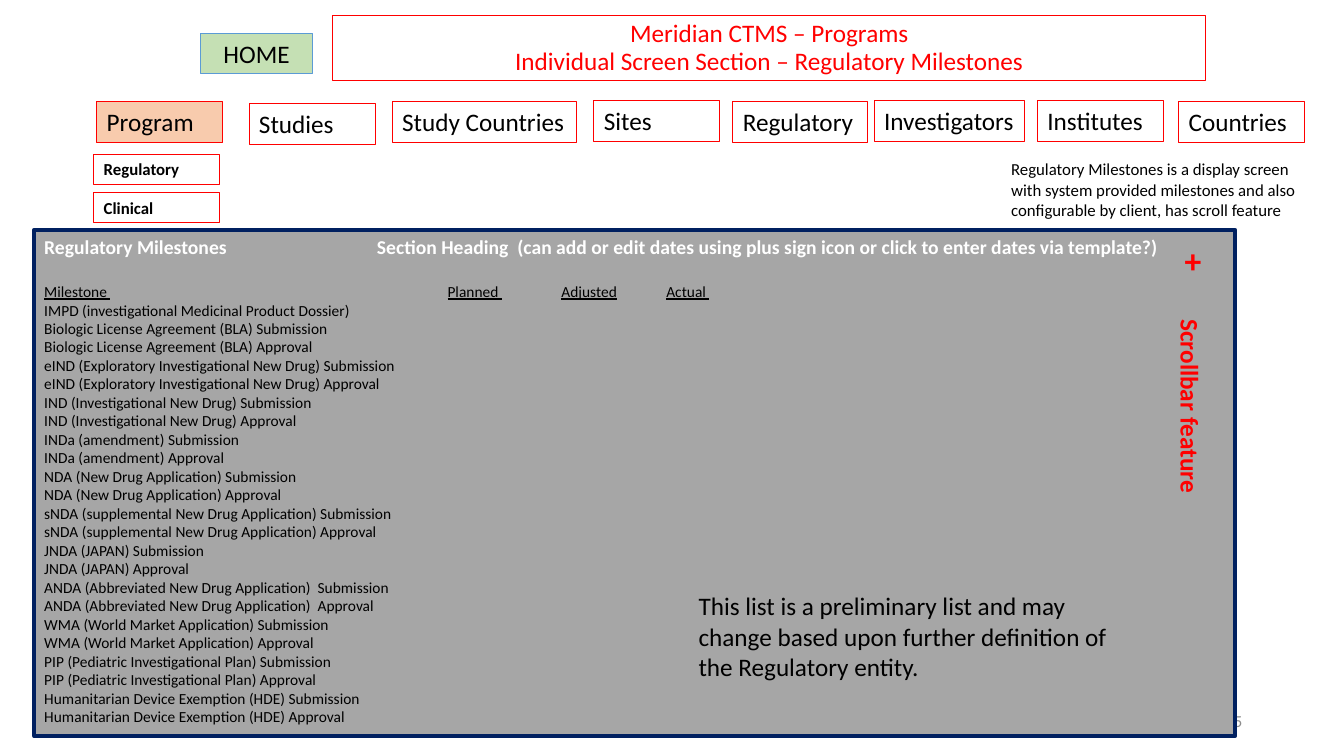
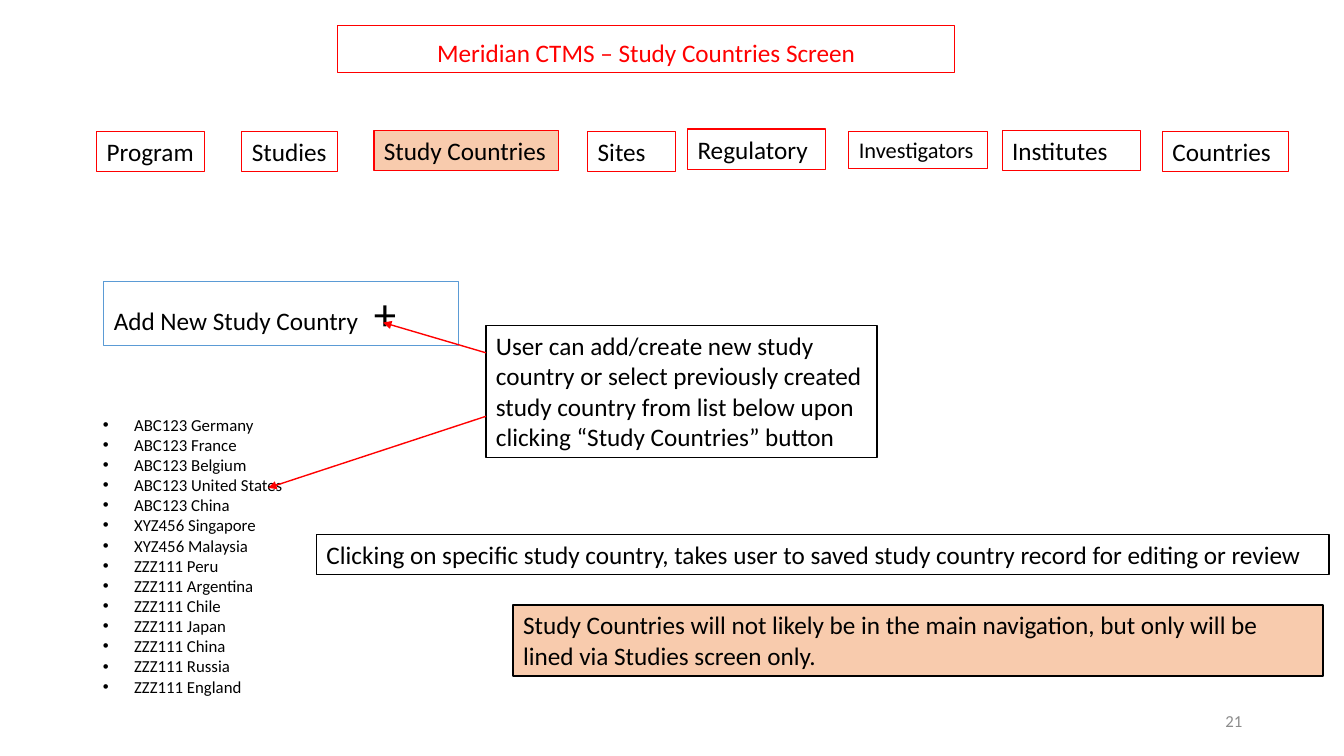
from lxml import etree
from pptx import Presentation
from pptx import util as u
from pptx.dml.color import RGBColor
from pptx.enum import shapes, text
from pptx.oxml import ns

RED, BLACK, WHITE, NAVY, BLUE = "FF0000", "000000", "FFFFFF", "002060", "5B9BD5"
PEACH, GREEN, GREY, NUMBER = "F8CBAD", "C5E0B4", "A6A6A6", "8C8C8C"
LEFT, CENTER, RIGHT = text.PP_ALIGN.LEFT, text.PP_ALIGN.CENTER, text.PP_ALIGN.RIGHT
TOP, MIDDLE, BOTTOM = text.MSO_ANCHOR.TOP, text.MSO_ANCHOR.MIDDLE, text.MSO_ANCHOR.BOTTOM


def color(value):
    return RGBColor.from_string(value)


def put(page, place, lines, box=None, fill=None, line=None, weight=0.75,
        size=18, ink=BLACK, bold=False, align=LEFT, anchor=TOP, spacing=1.0):
    left, top, width, height = [u.Inches(value) for value in place]
    if box is None and line:
        box = page.shapes.add_shape(shapes.MSO_SHAPE.RECTANGLE, left, top, width, height)
        box.shadow.inherit = False
    elif box is None:
        box = page.shapes.add_textbox(left, top, width, height)
    box.left, box.top, box.width, box.height = left, top, width, height
    if fill:
        box.fill.solid()
        box.fill.fore_color.rgb = color(fill)
    else:
        box.fill.background()
    if line:
        box.line.color.rgb = color(line)
        box.line.width = u.Pt(weight)
    frame = box.text_frame
    frame_format = {"word_wrap": True, "vertical_anchor": anchor, "auto_size": text.MSO_AUTO_SIZE.NONE}
    for name, value in frame_format.items():
        setattr(frame, name, value)
    for index, spans in enumerate(lines):
        para = frame.add_paragraph() if index else frame.paragraphs[0]
        para_format = {"alignment": align, "line_spacing": spacing, "space_before": u.Pt(0)}
        for name, value in para_format.items():
            setattr(para, name, value)
        for words, changes in [(spans, {})] if isinstance(spans, str) else spans:
            span = para.add_run()
            span.text = words
            font_format = {"name": "Calibri", "size": u.Pt(size), "bold": bold, **changes}
            for name, value in font_format.items():
                setattr(span.font, name, value)
            span.font.color.rgb = color(ink)
    return box


deck = Presentation()
deck.slide_width, deck.slide_height = u.Inches(13.33), u.Inches(7.5)

screens = [
    {"layout": 5, "number": "5", "current": "Program", "title_place": (3.3, 0.15, 8.66, 0.65),
     "title": ["Meridian CTMS – Programs", "Individual Screen Section – Regulatory Milestones"],
     "buttons": [("Program", 0.96, 1.01, 1.25, 18), ("Studies", 2.47, 1.03, 1.25, 18),
                 ("Study Countries", 3.89, 1.01, 1.83, 18), ("Sites", 5.89, 1, 1.25, 18),
                 ("Regulatory", 7.27, 1.01, 1.33, 18), ("Investigators", 8.67, 1, 1.49, 18),
                 ("Institutes", 10.29, 1, 1.25, 18), ("Countries", 11.69, 1.01, 1.25, 18)]},
    {"layout": 1, "number": "21", "current": "Study Countries", "title_place": (3.35, 0.25, 6.12, 0.47),
     "title": ["Meridian CTMS – Study Countries Screen"],
     "buttons": [("Program", 0.96, 1.3, 1.07, 18), ("Studies", 2.4, 1.3, 0.95, 18),
                 ("Study Countries", 3.71, 1.29, 1.83, 18), ("Sites", 5.83, 1.3, 0.87, 18),
                 ("Regulatory", 6.82, 1.28, 1.37, 18), ("Investigators", 8.42, 1.3, 1.37, 16),
                 ("Institutes", 9.94, 1.29, 1.37, 18), ("Countries", 11.53, 1.3, 1.25, 18)]},
]
for screen in screens:
    page = deck.slides.add_slide(deck.slide_layouts[screen["layout"]])
    put(page, screen["title_place"], screen["title"], box=page.shapes.title, line=RED,
        ink=RED, align=CENTER, anchor=BOTTOM, spacing=0.9)
    put(page, (9.42, 6.95, 3, 0.4), [screen["number"]], size=12, ink=NUMBER, align=RIGHT, anchor=MIDDLE)
    for label, left, top, width, size in screen["buttons"]:
        put(page, (left, top, width, 0.1 + size * 0.017), [label], line=RED, size=size,
            fill=PEACH if label == screen["current"] else None)

milestones_page, countries_page = deck.slides

milestones = ["IMPD (investigational Medicinal Product Dossier)"]
for name, gap in [
    ("Biologic License Agreement (BLA)", " "),
    ("eIND (Exploratory Investigational New Drug)", " "),
    ("IND (Investigational New Drug)", " "),
    ("INDa (amendment)", " "),
    ("NDA (New Drug Application)", " "),
    ("sNDA (supplemental New Drug Application)", " "),
    ("JNDA (JAPAN)", " "),
    ("ANDA (Abbreviated New Drug Application)", "  "),
    ("WMA (World Market Application)", " "),
    ("PIP (Pediatric Investigational Plan)", " "),
    ("Humanitarian Device Exemption (HDE)", " "),
]:
    milestones += [name + gap + step for step in ("Submission", "Approval")]

underlined = {"underline": True}
columns = [("Milestone ", underlined)]
for heading in ("Planned ", "Adjusted", "Actual "):
    columns += [("\t", {}), (heading, underlined)]
section = ("Regulatory Milestones\tSection Heading  (can add or edit dates using plus sign icon "
           "or click to enter dates via template?)")
panel = put(milestones_page, (0.34, 2.28, 11.91, 5.02), [section, columns] + milestones,
            fill=GREY, line=NAVY, weight=3, size=11)
panel_heading = panel.text_frame.paragraphs[0]
panel_heading.space_after = u.Pt(17)
for name, value in {"size": u.Pt(14), "bold": True}.items():
    setattr(panel_heading.runs[0].font, name, value)
panel_heading.runs[0].font.color.rgb = color(WHITE)

for label, top in [("Regulatory", 1.53), ("Clinical", 1.91)]:
    put(milestones_page, (0.93, top, 1.25, 0.3), [label], line=RED, size=12, bold=True)
put(milestones_page, (1.99, 0.33, 1.11, 0.4), ["HOME"], fill=GREEN, line=BLUE, align=CENTER)
put(milestones_page, (9.93, 1.53, 3.28, 0.71),
    ["Regulatory Milestones is a display screen with system provided milestones and also "
     "configurable by client, has scroll feature"], size=12)
put(milestones_page, (11.65, 2.33, 0.63, 0.5), ["+"], size=24, ink=RED, bold=True)
scrollbar = put(milestones_page, (11.51, 3.07, 0.5, 3.25), ["Scrollbar feature"], ink=RED, bold=True)
scrollbar.text_frame._txBody.bodyPr.set("vert", "vert")
put(milestones_page, (6.83, 5.81, 4.44, 1.01),
    ["This list is a preliminary list and may change based upon further definition of the Regulatory entity."])

studies = {
    "ABC123": ["Germany", "France", "Belgium", "United States", "China"],
    "XYZ456": ["Singapore", "Malaysia"],
    "ZZZ111": ["Peru", "Argentina", "Chile", "Japan", "China", "Russia", "England"],
}
records = [f"{study} {country}" for study, countries in studies.items() for country in countries]
country_list = put(countries_page, (0.92, 4.06, 2.79, 3.23), records,
                   box=countries_page.placeholders[1], size=12)
for para in country_list.text_frame.paragraphs:
    props = para._p.get_or_add_pPr()
    props.set("marL", str(u.Inches(0.31)))
    props.set("indent", str(-u.Inches(0.31)))
    etree.SubElement(props, ns.qn("a:buFont")).set("typeface", "Arial")
    etree.SubElement(props, ns.qn("a:buChar")).set("char", "•")

add_button = put(countries_page, (1.03, 2.79, 3.52, 0.64),
                 [[("Add New Study Country\t", {}), ("+", {"size": u.Pt(32)})]], line=BLUE)
put(countries_page, (3.14, 5.3, 10.04, 0.4),
    ["Clicking on specific study country, takes user to saved study country record for editing or review"],
    line=BLACK, weight=1)
put(countries_page, (4.82, 3.23, 3.88, 1.31),
    ["User can add/create new study country or select previously created study country "
     "from list below upon clicking “Study Countries” button"], line=BLACK, weight=1)
for start, end in [((4.82, 3.5), (3.8, 3.2)), ((4.82, 4.13), (2.66, 4.84))]:
    arrow = countries_page.shapes.add_connector(
        shapes.MSO_CONNECTOR.STRAIGHT, *[u.Inches(value) for value in start + end])
    arrow.line.color.rgb = color(RED)
    arrow.line.width = u.Pt(1)
    etree.SubElement(arrow.line._get_or_add_ln(), ns.qn("a:tailEnd")).set("type", "triangle")
    etree.SubElement(arrow._element.spPr, ns.qn("a:effectLst"))
put(countries_page, (5.09, 6, 8.03, 0.71),
    ["Study Countries will not likely be in the main navigation, but only will be lined via Studies screen only."],
    fill=PEACH, line=BLACK, weight=1.25)

tabbed = [
    (panel_heading, [3.3]),
    (panel.text_frame.paragraphs[1], [4, 5.13, 6.17]),
    (add_button.text_frame.paragraphs[0], [2.58]),
]
for para, stops in tabbed:
    tab_list = etree.SubElement(para._p.get_or_add_pPr(), ns.qn("a:tabLst"))
    for stop in stops:
        tab = etree.SubElement(tab_list, ns.qn("a:tab"))
        tab.set("pos", str(u.Inches(stop)))
        tab.set("algn", "l")

deck.save("out.pptx")
